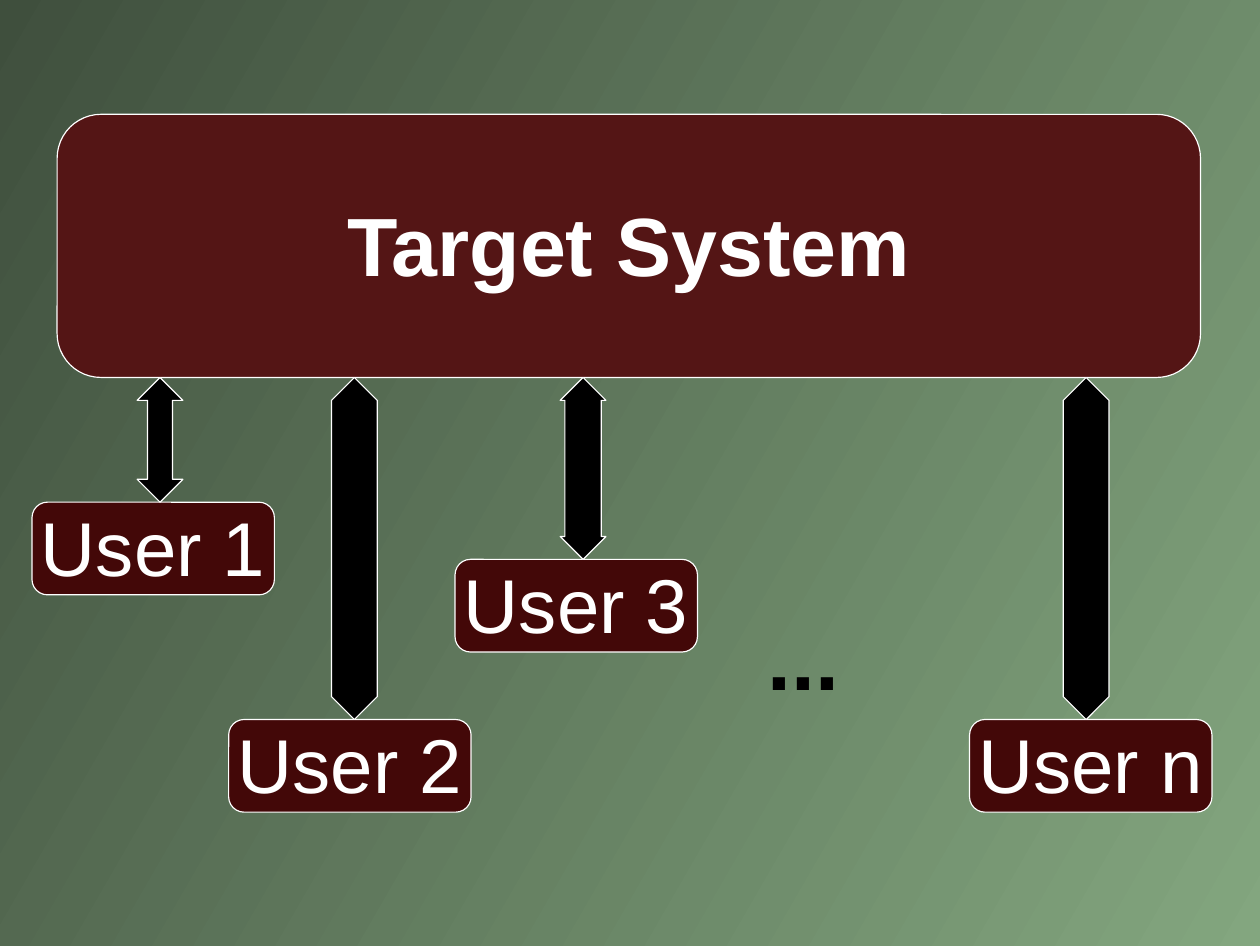
from dataclasses import dataclass

from pptx import Presentation
from pptx.dml.color import RGBColor
from pptx.enum.shapes import MSO_SHAPE
from pptx.enum.text import MSO_ANCHOR, PP_ALIGN
from pptx.shapes.autoshape import Shape
from pptx.slide import Slide
from pptx.util import Pt

COLORS = {
    "shade": "3F4F3D",
    "light": "83A67F",
    "system": "541515",
    "user": "430808",
    "white": "FFFFFF",
    "black": "000000",
}
FONT = "Arial"
SYSTEM_LEFT, SYSTEM_TOP, SYSTEM_WIDTH, SYSTEM_HEIGHT = 36, 72, 720, 165.6
SYSTEM_BOTTOM = SYSTEM_TOP + SYSTEM_HEIGHT
USER_WIDTH, USER_HEIGHT = 152.64, 58.32
ARROW_WIDTH = 28.8
BOX_INSETS = (7.2, 6.48, 7.2, 3.6)


@dataclass
class User:
    name: str
    left: float
    top: float
    arrow_left: float


USERS = [
    User("User 1", 20.16, 316.08, 86.4),
    User("User 2", 144, 452.88, 208.8),
    User("User 3", 286.56, 352.08, 352.8),
    User("User n", 610.56, 452.88, 669.6),
]


def color(name: str) -> RGBColor:
    return RGBColor.from_string(COLORS[name])


def add_outlined(page: Slide, kind: MSO_SHAPE, left: float, top: float,
                 width: float, height: float, fill: str) -> Shape:
    shape = page.shapes.add_shape(kind, Pt(left), Pt(top), Pt(width), Pt(height))
    shape.shadow.inherit = False
    shape.fill.solid()
    shape.fill.fore_color.rgb = color(fill)
    shape.line.color.rgb = color("white")
    shape.line.width = Pt(0.75)
    return shape


def write(box: Shape, text: str, size: float, ink: str, bold: bool,
          insets: tuple[float, float, float, float], wrap: bool) -> None:
    frame = box.text_frame
    frame.word_wrap = wrap
    frame.vertical_anchor = MSO_ANCHOR.MIDDLE
    (frame.margin_left, frame.margin_top,
     frame.margin_right, frame.margin_bottom) = map(Pt, insets)
    para = frame.paragraphs[0]
    para.alignment = PP_ALIGN.CENTER
    para.line_spacing = 0.94
    span = para.add_run()
    span.text = text
    span.font.name = FONT
    span.font.size = Pt(size)
    span.font.bold = bold
    span.font.color.rgb = color(ink)


def add_box(page: Slide, text: str, left: float, top: float, width: float,
            height: float, fill: str, size: float, bold: bool = False) -> None:
    box = add_outlined(page, MSO_SHAPE.FLOWCHART_ALTERNATE_PROCESS,
                       left, top, width, height, fill)
    write(box, text, size, "white", bold, BOX_INSETS, wrap=False)


def add_arrow(page: Slide, user: User) -> None:
    height = user.top - SYSTEM_BOTTOM
    arrow = add_outlined(page, MSO_SHAPE.UP_DOWN_ARROW, user.arrow_left,
                         SYSTEM_BOTTOM, ARROW_WIDTH, height, "black")
    # Each head takes a fifth of the arrow's length
    arrow.adjustments[0] = 0.5
    arrow.adjustments[1] = height / 5 / ARROW_WIDTH


def paint_background(page: Slide) -> None:
    fill = page.background.fill
    fill.gradient()
    fill.gradient_angle = 330
    for stop, position, name in zip(fill.gradient_stops, (0, 1), ("shade", "light")):
        stop.position = position
        stop.color.rgb = color(name)


def main() -> None:
    deck = Presentation()
    deck.slide_width, deck.slide_height = Pt(793.44), Pt(595.44)
    page = deck.slides.add_slide(deck.slide_layouts[6])
    paint_background(page)

    # Target system and its users
    add_box(page, "Target System", SYSTEM_LEFT, SYSTEM_TOP, SYSTEM_WIDTH,
            SYSTEM_HEIGHT, "system", 52, bold=True)
    for user in USERS:
        add_box(page, user.name, user.left, user.top, USER_WIDTH, USER_HEIGHT,
                "user", 48)

    # Further users
    dots = page.shapes.add_textbox(Pt(478.8), Pt(381.6), Pt(54), Pt(66.96))
    write(dots, "...", 54, "black", True, (0, 2.88, 0, 0), wrap=True)

    # Links between users and system
    for user in USERS:
        add_arrow(page, user)

    deck.save("out.pptx")


if __name__ == "__main__":
    main()
